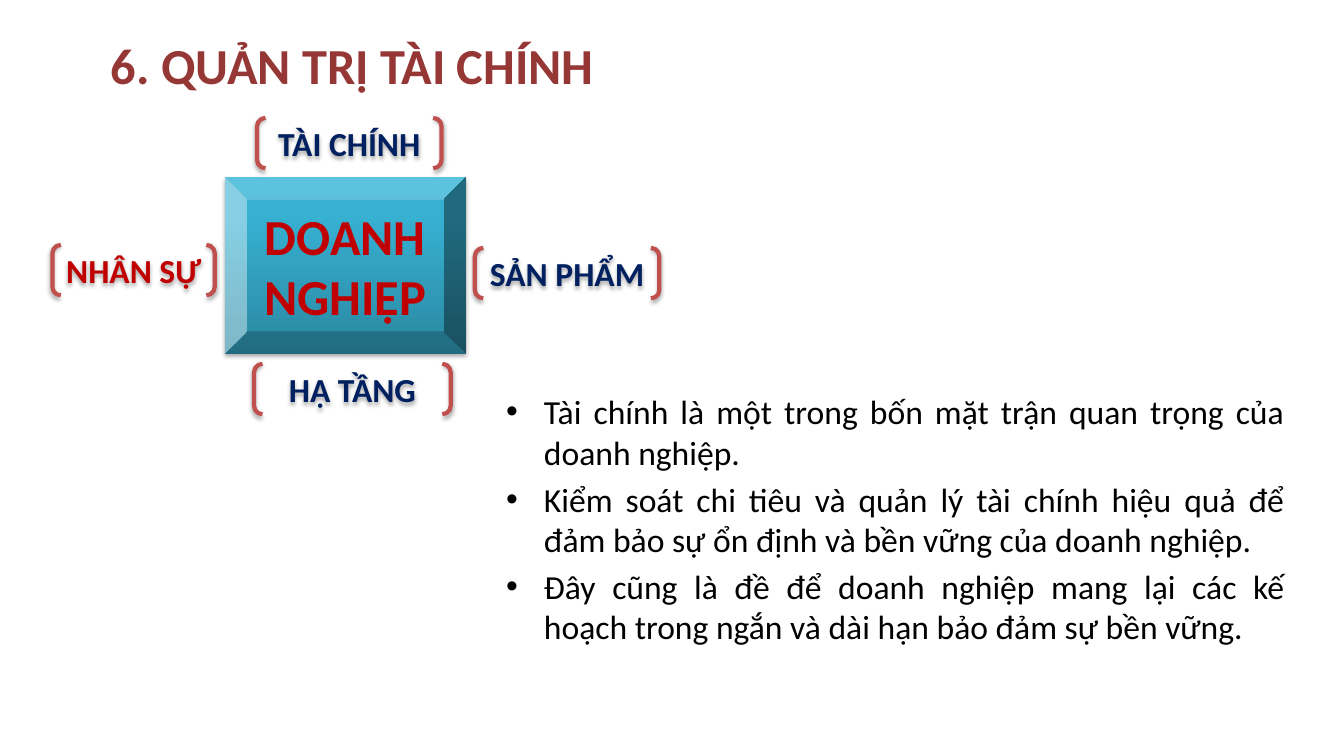
from copy import deepcopy

from pptx import Presentation
from pptx.dml.color import RGBColor
from pptx.enum.shapes import MSO_SHAPE
from pptx.enum.text import MSO_ANCHOR, MSO_AUTO_SIZE, PP_ALIGN
from pptx.util import Inches, Pt

LEFT, CENTER, JUSTIFY = PP_ALIGN.LEFT, PP_ALIGN.CENTER, PP_ALIGN.JUSTIFY
MIDDLE = MSO_ANCHOR.MIDDLE
NO_FIT = MSO_AUTO_SIZE.NONE
BEVEL, BRACKETS = MSO_SHAPE.BEVEL, MSO_SHAPE.DOUBLE_BRACKET

MAROON = RGBColor(0x95, 0x37, 0x35)
BLACK = RGBColor(0x00, 0x00, 0x00)
RED = RGBColor(0xC0, 0x00, 0x00)
NAVY = RGBColor(0x00, 0x20, 0x60)
BRICK = RGBColor(0xC0, 0x50, 0x4D)
TEAL_DARK = RGBColor(0x2A, 0x88, 0xA2)
TEAL_LIGHT = RGBColor(0x37, 0xB1, 0xD2)
TEAL = RGBColor(0x34, 0xB4, 0xD6)


def place(sp, left, top, width, height):
    sp.left, sp.top = Inches(left), Inches(top)
    sp.width, sp.height = Inches(width), Inches(height)


def style(p, size, color, align, bold=False):
    p.alignment = align
    p.font.name = "Calibri"
    p.font.size = Pt(size)
    p.font.bold = bold
    p.font.color.rgb = color


prs = Presentation()
prs.slide_width, prs.slide_height = Inches(13.33), Inches(7.5)
s = prs.slides.add_slide(prs.slide_layouts[1])

# Title
title = s.shapes.title
place(title, 1, 0.25, 10.22, 0.78)
tf = title.text_frame
tf.text = "6. QUẢN TRỊ TÀI CHÍNH"
tf.auto_size = NO_FIT
tf.vertical_anchor = MIDDLE
style(tf.paragraphs[0], 36, MAROON, LEFT, True)

# Bullet list
points = [
    "Tài chính là một trong bốn mặt trận quan trọng của doanh nghiệp.",
    "Kiểm soát chi tiêu và quản lý tài chính hiệu quả để đảm bảo sự ổn định "
    "và bền vững của doanh nghiệp.",
    "Đây cũng là đề để doanh nghiệp mang lại các kế hoạch trong ngắn và dài hạn "
    "bảo đảm sự bền vững.",
]
body = s.placeholders[1]
place(body, 4.92, 3.83, 7.92, 2.67)
tf = body.text_frame
tf.text = "\n".join(points)
tf.auto_size = NO_FIT
for i, p in enumerate(tf.paragraphs):
    p.space_before = Pt(4.8 if i else 0)
    style(p, 24, BLACK, JUSTIFY)

# Central bevel, with the theme's soft shadow
sp = s.shapes.add_shape(BEVEL, Inches(2.23), Inches(1.76), Inches(2.39), Inches(1.75))
sp.line.fill.background()
sp.fill.gradient()
sp.fill.gradient_angle = 90
stop_list = sp._element.spPr.xpath(".//a:gsLst")[0]
stop_list.append(deepcopy(stop_list[-1]))
stops = [(0, TEAL_DARK), (0.8, TEAL_LIGHT), (1, TEAL)]
for stop, (position, color) in zip(sp.fill.gradient_stops, stops):
    stop.position = position
    stop.color.rgb = color
tf = sp.text_frame
tf.text = "DOANH NGHIỆP"
tf.word_wrap = True
tf.vertical_anchor = MIDDLE
style(tf.paragraphs[0], 36, RED, CENTER, True)

# Four bracketed fronts around it, also with the theme's shadow
fronts = [
    ("TÀI CHÍNH", 2.55, 1.17, 1.83, NAVY),
    ("SẢN PHẨM", 4.71, 2.46, 1.83, NAVY),
    ("HẠ TẦNG", 2.52, 3.61, 1.95, NAVY),
    ("NHÂN SỰ", 0.52, 2.43, 1.61, RED),
]
for label, left, top, width, color in fronts:
    sp = s.shapes.add_shape(BRACKETS, Inches(left), Inches(top), Inches(width), Inches(0.5))
    sp.fill.background()
    sp.line.color.rgb = BRICK
    sp.line.width = Pt(3)
    tf = sp.text_frame
    tf.text = label
    tf.word_wrap = False
    tf.vertical_anchor = MIDDLE
    style(tf.paragraphs[0], 24, color, CENTER, True)

prs.save("out.pptx")
